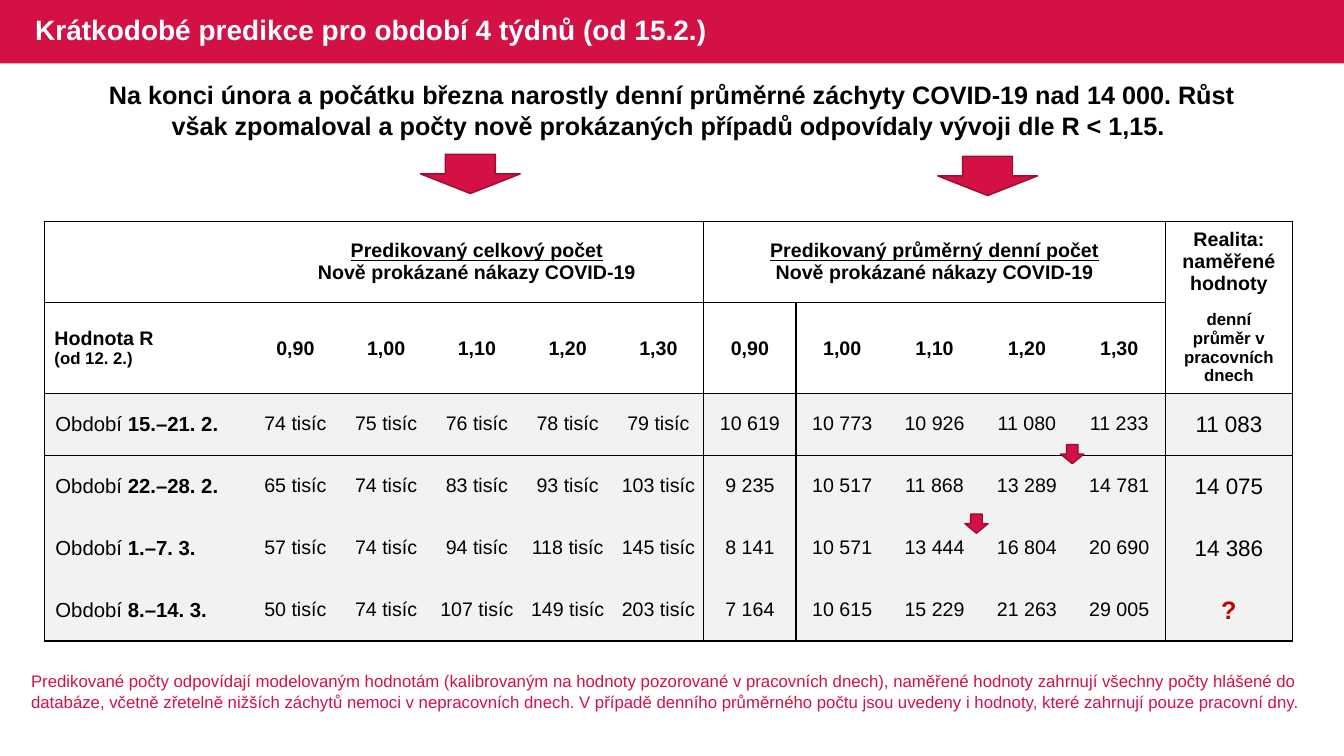
from dataclasses import dataclass

from lxml import etree
from pptx import Presentation
from pptx.dml.color import RGBColor
from pptx.enum import shapes, text
from pptx.oxml import ns
from pptx.util import Inches, Pt

CENTER, LEFT = text.PP_ALIGN.CENTER, text.PP_ALIGN.LEFT
MIDDLE, TOP = text.MSO_ANCHOR.MIDDLE, text.MSO_ANCHOR.TOP


@dataclass(frozen=True)
class Theme:
    font: str = "Arial"
    accent: str = "D31145"
    outline: str = "9C0D33"
    ink: str = "000000"
    paper: str = "FFFFFF"
    band: str = "F2F2F2"
    alert: str = "C00000"
    title: float = 20
    lead: float = 18
    actual: float = 16
    period: float = 14.5
    body: float = 14
    small: float = 12


class Deck:
    def __init__(self, theme):
        self.theme = theme
        self.prs = Presentation()
        self.prs.slide_width, self.prs.slide_height = Inches(13.33), Inches(7.5)
        self.slide = self.prs.slides.add_slide(self.prs.slide_layouts[6])

    def fill_text(self, tf, paragraphs, size, color, bold=False, align=CENTER):
        for i, parts in enumerate(paragraphs):
            p = tf.paragraphs[0] if i == 0 else tf.add_paragraph()
            p.alignment = align
            for part, style in parts:
                if part == "\n":
                    p.add_line_break()
                    br = p._p.findall(ns.qn("a:br"))[-1]
                    etree.SubElement(br, ns.qn("a:rPr"), sz=str(int(size * 100)))
                    continue
                r = p.add_run()
                r.text = part
                r.font.name = self.theme.font
                r.font.size = Pt(style.get("size", size))
                r.font.bold = style.get("bold", bold)
                r.font.underline = style.get("underline", False)
                r.font.color.rgb = RGBColor.from_string(color)

    def shape(self, kind, x, y, w, h, line=None):
        sp = self.slide.shapes.add_shape(kind, Inches(x), Inches(y), Inches(w), Inches(h))
        sp.shadow.inherit = False
        sp.fill.solid()
        sp.fill.fore_color.rgb = RGBColor.from_string(self.theme.accent)
        if line:
            sp.line.color.rgb = RGBColor.from_string(line)
            sp.line.width = Pt(1)
        else:
            sp.line.fill.background()

    def arrow(self, x, y, w, h):
        self.shape(shapes.MSO_SHAPE.DOWN_ARROW, x, y, w, h, self.theme.outline)

    def textbox(self, x, y, w, h, words, size, color, bold=False, align=LEFT, anchor=TOP):
        tf = self.slide.shapes.add_textbox(Inches(x), Inches(y), Inches(w), Inches(h)).text_frame
        tf.word_wrap = True
        tf.vertical_anchor = anchor
        self.fill_text(tf, [[(words, {})]], size, color, bold, align)
        return tf

    def table(self, x, y, widths, heights):
        frame = self.slide.shapes.add_table(
            len(heights), len(widths), Inches(x), Inches(y),
            Inches(sum(widths)), Inches(sum(heights)))
        tbl = frame.table
        tbl.first_row = tbl.horz_banding = False
        for column, width in zip(tbl.columns, widths):
            column.width = Inches(width)
        for row, height in zip(tbl.rows, heights):
            row.height = Inches(height)
        return tbl

    def cell(self, cell, paragraphs, size, color=None, bold=False, align=CENTER, margins=None):
        cell.vertical_anchor = MIDDLE
        if margins:
            (cell.margin_left, cell.margin_right,
             cell.margin_top, cell.margin_bottom) = map(Inches, margins)
        self.fill_text(cell.text_frame, paragraphs, size, color or self.theme.ink, bold, align)

    def dress(self, cell, fill, edges):
        cell.fill.solid()
        cell.fill.fore_color.rgb = RGBColor.from_string(fill)
        tcPr = cell._tc.get_or_add_tcPr()
        for i, (side, drawn) in enumerate(zip("LRTB", edges)):
            ln = etree.Element(ns.qn(f"a:ln{side}"), w=str(Pt(1)))
            if drawn:
                solid = etree.SubElement(ln, ns.qn("a:solidFill"))
                etree.SubElement(solid, ns.qn("a:srgbClr"), val=self.theme.ink)
            else:
                etree.SubElement(ln, ns.qn("a:noFill"))
            tcPr.insert(i, ln)


R_VALUES = ["0,90", "1,00", "1,10", "1,20", "1,30"]
PERIODS = [
    ("15.–21. 2.", [74, 75, 76, 78, 79],
     ["10 619", "10 773", "10 926", "11 080", "11 233"], "11 083"),
    ("22.–28. 2.", [65, 74, 83, 93, 103],
     ["9 235", "10 517", "11 868", "13 289", "14 781"], "14 075"),
    ("1.–7. 3.", [57, 74, 94, 118, 145],
     ["8 141", "10 571", "13 444", "16 804", "20 690"], "14 386"),
    ("8.–14. 3.", [50, 74, 107, 149, 203],
     ["7 164", "10 615", "15 229", "21 263", "29 005"], "?"),
]
TIGHT = (0.01, 0.01, 0.01, 0)


def horizontal(edge, col):
    return edge in (0, 2, 3, 6) or (edge == 1 and col < 11)


def vertical(edge, row):
    return edge in (0, 6, 11, 12) or (edge == 7 and row > 0)


def prediction_table(deck):
    t = deck.theme
    widths = [2.04] + [0.9] * 5 + [4.58 / 5] * 5 + [1.26]
    tbl = deck.table(0.44, 2.2, widths, [0.8, 0.9] + [2.46 / 4] * 4)

    groups = [(1, "Predikovaný celkový počet"), (6, "Predikovaný průměrný denní počet")]
    for first, heading in groups:
        tbl.cell(0, first).merge(tbl.cell(0, first + 4))
        parts = [(heading, {"underline": True}), ("\n", {}), ("Nově prokázané nákazy COVID-19", {})]
        deck.cell(tbl.cell(0, first), [parts], t.body, bold=True)
        for i, value in enumerate(R_VALUES):
            deck.cell(tbl.cell(1, first + i), [[(value, {})]], t.body, bold=True, margins=TIGHT)
    deck.cell(tbl.cell(0, 11), [[("Realita: naměřené", {})], [("hodnoty", {})]], t.body, bold=True)
    deck.cell(tbl.cell(1, 11), [[("denní průměr v pracovních dnech", {})]], t.small, bold=True)
    r_label = [("Hodnota R", {}), ("\n", {}), ("(od 12. 2.)", {"size": t.small})]
    deck.cell(tbl.cell(1, 0), [r_label], t.body, bold=True, align=LEFT)

    for row, (period, totals, daily, actual) in enumerate(PERIODS, 2):
        label = [("Období ", {}), (period, {"bold": True})]
        deck.cell(tbl.cell(row, 0), [label], t.period, align=LEFT, margins=(0.11, 0.01, 0.01, 0))
        for col, value in enumerate([f"{n} tisíc" for n in totals] + daily, 1):
            deck.cell(tbl.cell(row, col), [[(value, {})]], t.body, margins=(0, 0, 0, 0))
        unknown = actual == "?"
        deck.cell(tbl.cell(row, 11), [[(actual, {})]], t.lead if unknown else t.actual,
                  t.alert if unknown else t.ink, unknown, margins=TIGHT)

    for row in range(len(tbl.rows)):
        for col in range(len(widths)):
            cell = tbl.cell(row, col)
            right = col + (cell.span_width if cell.is_merge_origin else 1)
            edges = (vertical(col, row), vertical(right, row),
                     horizontal(row, col), horizontal(row + 1, col))
            deck.dress(cell, t.band if row > 1 else t.paper, edges)


def main():
    t = Theme()
    deck = Deck(t)
    deck.shape(shapes.MSO_SHAPE.RECTANGLE, 0, 0, 13.33, 0.63)
    prediction_table(deck)
    deck.textbox(
        0.78, 0.74, 11.77, 0.71,
        "Na konci února a počátku března narostly denní průměrné záchyty COVID-19 nad 14 000. "
        "Růst však zpomaloval a počty nově prokázaných případů odpovídaly vývoji dle R < 1,15. ",
        t.lead, t.ink, True, CENTER)
    title = deck.textbox(0.25, 0, 7.41, 0.63, "Krátkodobé predikce pro období 4 týdnů (od 15.2.)",
                         t.title, t.paper, True, anchor=MIDDLE)
    title.paragraphs[0].line_spacing = 0.9
    deck.textbox(
        0.21, 6.61, 12.83, 0.5,
        "Predikované počty odpovídají modelovaným hodnotám (kalibrovaným na hodnoty pozorované "
        "v pracovních dnech), naměřené hodnoty zahrnují všechny počty hlášené do databáze, včetně "
        "zřetelně nižších záchytů nemoci v nepracovních dnech. V případě denního průměrného počtu "
        "jsou uvedeny i hodnoty, které zahrnují pouze pracovní dny.",
        t.small, t.accent)
    for x, y in [(4.17, 1.53), (9.3, 1.55)]:
        deck.arrow(x, y, 0.99, 0.39)
    for x, y in [(10.52, 4.41), (9.57, 5.1)]:
        deck.arrow(x, y, 0.23, 0.19)
    deck.prs.save("out.pptx")


if __name__ == "__main__":
    main()
